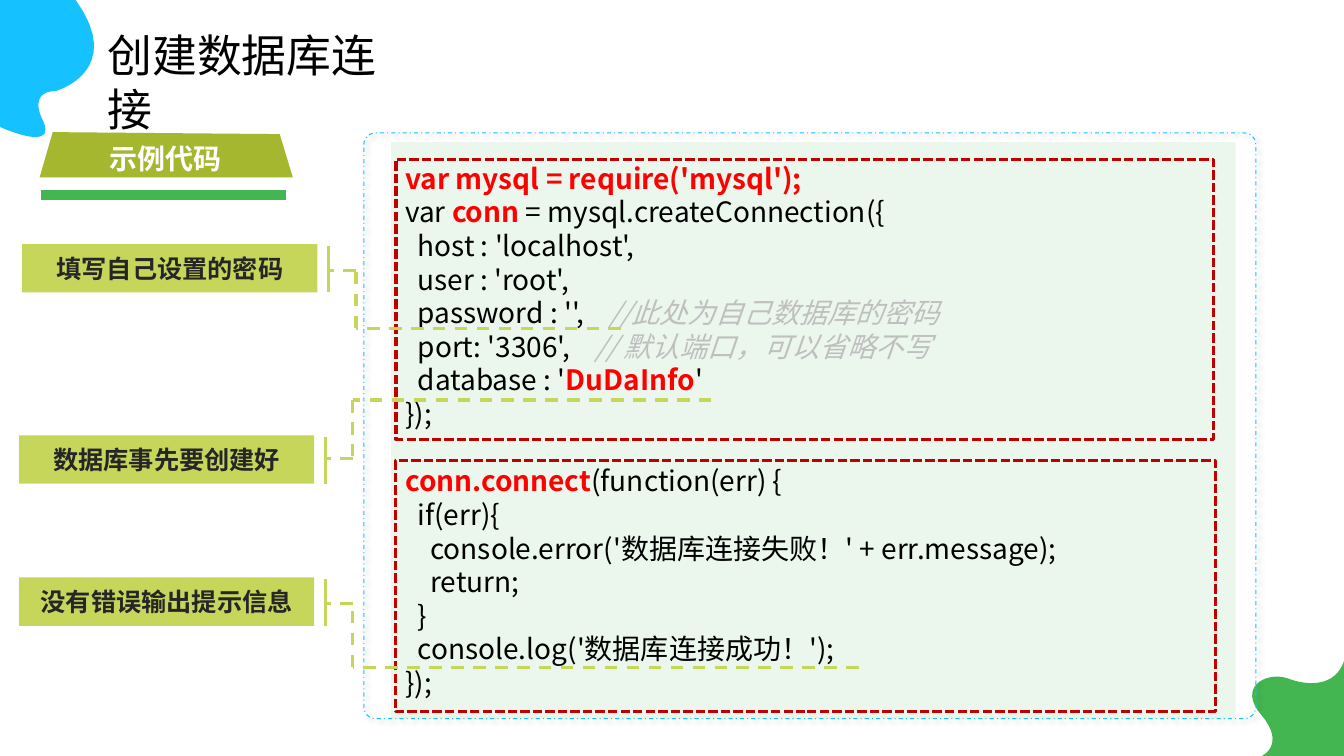
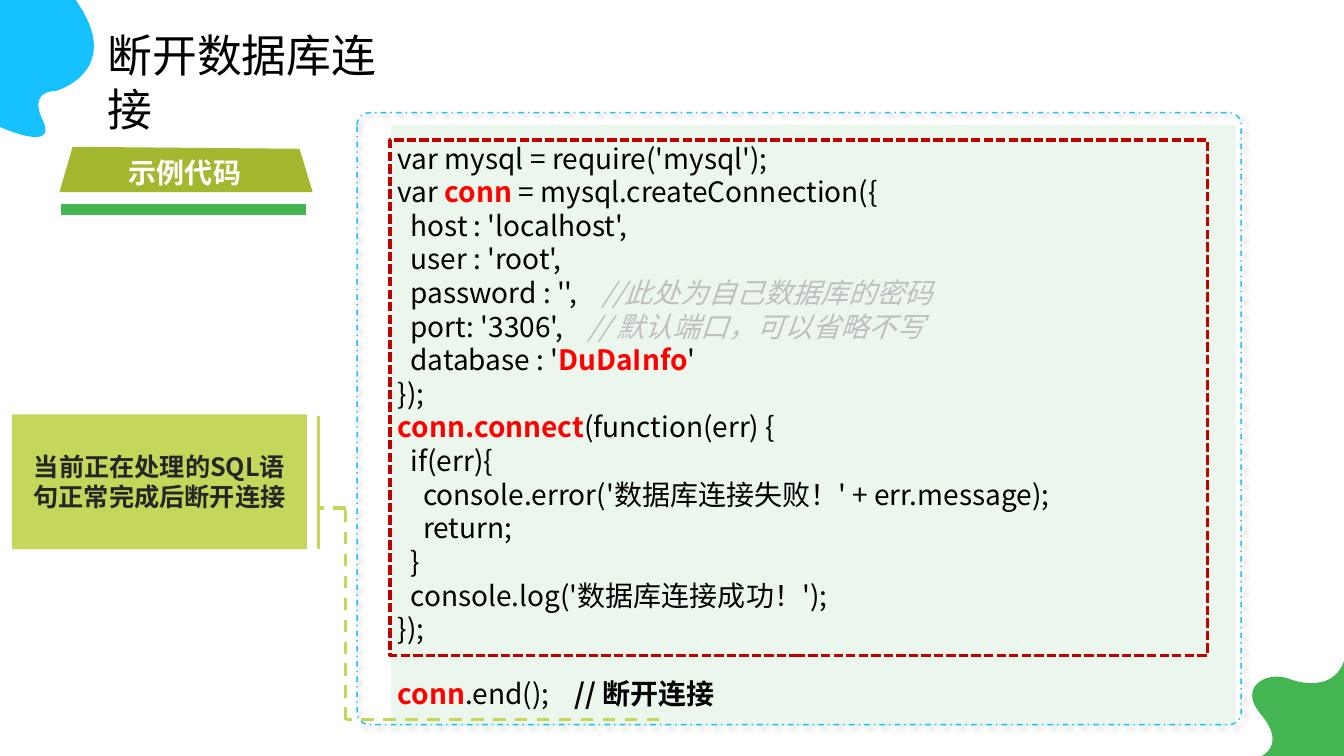
from dataclasses import dataclass

from lxml import etree
from pptx import Presentation
from pptx import util as u
from pptx.dml.color import RGBColor
from pptx.enum import dml, shapes, text
from pptx.oxml.ns import qn


@dataclass(frozen=True)
class Theme:
    font: str = "Noto Sans CJK SC"
    black: str = "000000"
    white: str = "FFFFFF"
    dark: str = "262626"
    gray: str = "BFBFBF"
    red: str = "FF0000"
    frame: str = "C00000"
    blue: str = "15C2FF"
    green: str = "43B651"
    olive: str = "A5B72E"
    lime: str = "C6D65B"
    title_size: int = 32
    code_size: int = 20
    label_size: int = 18
    leading: float = 1.2


THEME = Theme()

SPAN_STYLES = {
    "plain": {},
    "key": {"color": THEME.red, "bold": True},
    "note": {"color": THEME.gray, "italic": True},
    "strong": {"bold": True},
}

OPENING = [
    [("var ", "plain"), ("conn", "key"), (" = mysql.createConnection({", "plain")],
    [("  host : 'localhost',", "plain")],
    [("  user : 'root',", "plain")],
    [("  password : '',    ", "plain"), ("//此处为自己数据库的密码", "note")],
    [("  port: '3306',    ", "plain"), ("// 默认端口，可以省略不写", "note")],
    [("  database : '", "plain"), ("DuDaInfo", "key"), ("'", "plain")],
    [("});", "plain")],
]
HANDLER = [
    [("conn.connect", "key"), ("(function(err) {", "plain")],
    [("  if(err){", "plain")],
    [("    console.error('数据库连接失败！' + err.message);", "plain")],
    [("    return;", "plain")],
    [("  }", "plain")],
    [("  console.log('数据库连接成功！');", "plain")],
    [("});", "plain")],
]
CLOSING = [[("conn", "key"), (".end();    ", "plain"), ("// 断开连接", "strong")]]

BLUE_START = (0, 3.2)
BLUE_CURVES = [
    ((0, 3.2), (1.45, 3.86), (1.09, 3.05)),
    ((1.09, 3.05), (0.66, 2.31), (1.42, 2.29)),
    ((1.42, 2.29), (3.18, 1.78), (1.91, 0)),
]
GREEN_START = (31.8, 19.05)
GREEN_CURVES = [
    ((31.8, 19.05), (32.41, 18.77), (31.8, 18.03)),
    ((31.17, 17.32), (31.9, 16.92), (32.44, 17.09)),
    ((32.97, 17.3), (33.66, 17.3), (33.87, 16.66)),
]


def require_line(style):
    return [[("var mysql = require('mysql');", style)]]


def trace(start, curves, corner, steps=16):
    points = [start]
    for first, second, end in curves:
        origin = points[-1]
        for step in range(1, steps + 1):
            t = step / steps
            weights = ((1 - t) ** 3, 3 * t * (1 - t) ** 2, 3 * t * t * (1 - t), t ** 3)
            anchors = (origin, first, second, end)
            points.append(tuple(
                sum(w * anchor[axis] for w, anchor in zip(weights, anchors))
                for axis in (0, 1)))
    return points + [corner]


def add_span(para, words, size, color=THEME.black, bold=False, italic=False):
    para.line_spacing = u.Pt(size * THEME.leading)
    span = para.add_run()
    span.text = words
    font = span.font
    font.size, font.bold, font.italic = u.Pt(size), bold, italic
    font.color.rgb = RGBColor.from_string(color)
    font.name = THEME.font
    east_asian = etree.SubElement(span._r.get_or_add_rPr(), qn("a:ea"))
    east_asian.set("typeface", THEME.font)


class Deck:
    def __init__(self):
        self.file = Presentation()
        self.file.slide_width = u.Cm(33.87)
        self.file.slide_height = u.Cm(19.05)
        self.page = None

    def add_page(self, title):
        self.page = self.file.slides.add_slide(self.file.slide_layouts[6])
        self.outline(trace(BLUE_START, BLUE_CURVES, (0, 0)), THEME.blue)
        self.outline(trace(GREEN_START, GREEN_CURVES, (33.87, 19.05)), THEME.green)
        box = self.text_box(2.46, 0.58, 8.1, 1.63)
        add_span(box.paragraphs[0], title, THEME.title_size)

    def paint(self, shape, fill=None, line=None, weight=1, dash=None):
        shape.shadow.inherit = False
        if fill:
            shape.fill.solid()
            shape.fill.fore_color.rgb = RGBColor.from_string(fill)
        else:
            shape.fill.background()
        if line:
            shape.line.color.rgb = RGBColor.from_string(line)
            shape.line.width = u.Pt(weight)
            shape.line.dash_style = dash
        else:
            shape.line.fill.background()
        return shape

    def block(self, left, top, width, height, kind=shapes.MSO_SHAPE.RECTANGLE, **paint):
        shape = self.page.shapes.add_shape(
            kind, u.Cm(left), u.Cm(top), u.Cm(width), u.Cm(height))
        return self.paint(shape, **paint)

    def outline(self, points, fill):
        corners = [(u.Cm(x), u.Cm(y)) for x, y in points]
        builder = self.page.shapes.build_freeform(*corners[0])
        builder.add_line_segments(corners[1:], close=True)
        return self.paint(builder.convert_to_shape(), fill=fill)

    def text_box(self, left, top, width, height, wrap=True):
        box = self.page.shapes.add_textbox(
            u.Cm(left), u.Cm(top), u.Cm(width), u.Cm(height)).text_frame
        box.word_wrap = wrap
        return box

    def line(self, start, end, dash=dml.MSO_LINE.DASH):
        ends = [u.Cm(value) for value in (*start, *end)]
        connector = self.page.shapes.add_connector(shapes.MSO_CONNECTOR.STRAIGHT, *ends)
        connector.line.color.rgb = RGBColor.from_string(THEME.lime)
        connector.line.width = u.Pt(2.25)
        connector.line.dash_style = dash
        etree.SubElement(connector._element.spPr, qn("a:effectLst"))

    def panel(self, backing, border, weight):
        tint = self.block(*backing, fill=THEME.green)
        color = tint._element.spPr.find(qn("a:solidFill"))[0]
        etree.SubElement(color, qn("a:alpha")).set("val", "10000")
        card = self.block(*border, kind=shapes.MSO_SHAPE.ROUNDED_RECTANGLE,
                          line=THEME.blue, weight=weight, dash=dml.MSO_LINE.DASH_DOT)
        card.adjustments[0] = 0.02
        effects = card._element.spPr.find(qn("a:effectLst"))
        shadow = etree.SubElement(effects, qn("a:outerShdw"), blurRad=str(u.Pt(4)),
                                  dist=str(u.Pt(3)), dir="2700000", algn="tl",
                                  rotWithShape="0")
        tone = etree.SubElement(shadow, qn("a:srgbClr"), val=THEME.black)
        etree.SubElement(tone, qn("a:alpha")).set("val", "40000")

    def code(self, left, top, width, height, *sections):
        box = self.text_box(left, top, width, height)
        para = None
        for section in sections:
            for index, line in enumerate(section):
                if para is None:
                    para = box.paragraphs[0]
                else:
                    para = box.add_paragraph()
                    if index == 0:
                        para.space_before = u.Pt(THEME.code_size * THEME.leading)
                for words, style in line:
                    add_span(para, words, THEME.code_size, **SPAN_STYLES[style])

    def code_frame(self, left, top, width, height):
        self.block(left, top, width, height, line=THEME.frame, weight=2.25,
                   dash=dml.MSO_LINE.SQUARE_DOT)

    def callout(self, words, left, top, stub, target, height=1.22):
        label = self.block(left, top, 7.44, height, fill=THEME.lime).text_frame
        label.word_wrap = True
        label.vertical_anchor = text.MSO_ANCHOR.MIDDLE
        para = label.paragraphs[0]
        para.alignment = text.PP_ALIGN.CENTER
        add_span(para, words, THEME.label_size, color=THEME.dark, bold=True)
        bar, elbow = left + 7.72, left + 8.41
        route = [target, (elbow, target[1]), (elbow, stub), (bar, stub)]
        for start, end in zip(route, route[1:]):
            self.line(start, end)
        self.line((bar, top + 0.05), (bar, top + height), dash=None)

    def tag(self, words, left, top):
        self.block(left + 0.05, top + 1.47, 6.15, 0.23, fill=THEME.green, line=THEME.green)
        corners = [(0.33, 0), (6.05, 0.05), (6.38, 1.14), (0, 1.14)]
        self.outline([(left + x, top + y) for x, y in corners], THEME.olive)
        box = self.text_box(left + 1.5, top + 0.1, 3.33, 1.12, wrap=False)
        add_span(box.paragraphs[0], words, THEME.code_size, color=THEME.white, bold=True)


def main():
    deck = Deck()

    deck.add_page("创建数据库连接")
    deck.panel((9.86, 3.58, 21.28, 14.53), (9.17, 3.35, 22.48, 14.76), 0.75)
    deck.code(9.96, 3.94, 21.69, 13.94, require_line("key") + OPENING, HANDLER)
    deck.code_frame(9.98, 4.01, 20.6, 7.06)
    deck.code_frame(9.96, 11.61, 20.68, 6.32)
    deck.callout("填写自己设置的密码", 0.56, 6.15, 6.81, (15.65, 8.27))
    deck.callout("数据库事先要创建好", 0.48, 10.97, 11.56, (17.93, 10.08))
    deck.callout("没有错误输出提示信息", 0.48, 14.55, 15.2, (21.64, 16.81))
    deck.tag("示例代码", 1, 3.33)

    deck.add_page("断开数据库连接")
    deck.panel((9.86, 3.15, 21.28, 15.14), (9, 2.84, 22.28, 15.42), 1)
    deck.code(9.78, 3.43, 21, 13.08, require_line("plain") + OPENING + HANDLER)
    deck.code_frame(9.83, 3.53, 20.6, 12.98)
    deck.code(9.78, 16.92, 16.92, 1.12, CLOSING)
    deck.callout("当前正在处理的SQL语句正常完成后断开连接", 0.3, 10.44, 12.8,
                 (16.61, 18.14), height=3.4)
    deck.tag("示例代码", 1.5, 3.7)

    deck.file.save("out.pptx")


if __name__ == "__main__":
    main()
